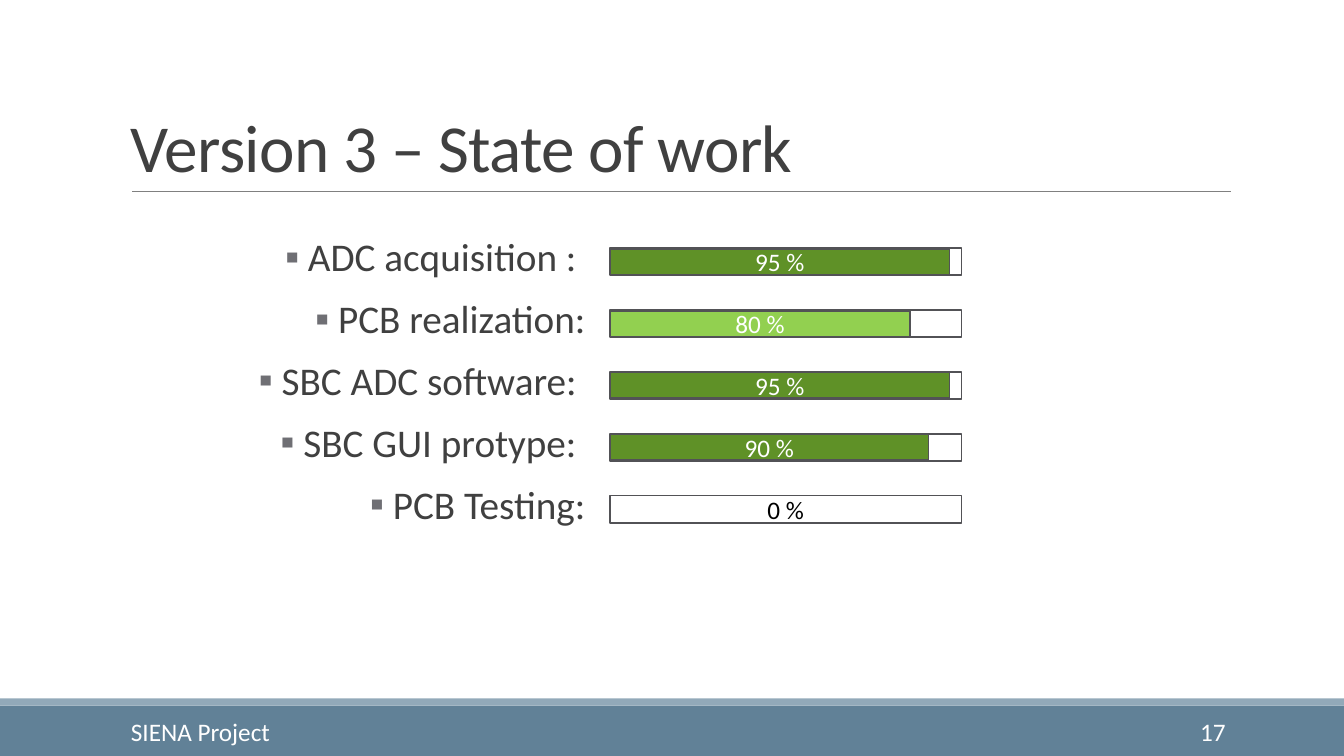
from lxml.etree import SubElement
from pptx import Presentation
from pptx.dml.color import RGBColor as Rgb
from pptx.enum.shapes import MSO_CONNECTOR as Link, MSO_SHAPE as Form
from pptx.enum.text import MSO_ANCHOR as Anchor, PP_ALIGN as Align
from pptx.oxml.ns import qn
from pptx.util import Cm, Pt

HUES = {
    "white": "FFFFFF", "black": "000000", "text": "404040",
    "bullet": "6F6F74", "rule": "808080", "edge": "525256",
    "band": "618197", "strip": "92A9B9",
    "dark": "5F9127", "light": "92D050",
}
TASKS = [
    ("ADC acquisition : ", "95 %", 8.56, "dark"),
    ("PCB realization:", "80 %", 7.57, "light"),
    ("SBC ADC software: ", "95 %", 8.56, "dark"),
    ("SBC GUI protype: ", "90 %", 8.03, "dark"),
    ("PCB Testing:", "0 %", 0, "white"),
]
WIDE, HIGH = 33.87, 19.05


def hue(name):
    return Rgb.from_string(HUES[name])


def style(para, size, color, align=Align.LEFT):
    para.alignment = align
    para.font.name = "Calibri"
    para.font.size = Pt(size)
    para.font.color.rgb = hue(color)


def add_text(slide, box, anchor):
    frame = slide.shapes.add_textbox(*map(Cm, box)).text_frame
    frame.word_wrap = True
    frame.vertical_anchor = anchor
    return frame


def add_rect(slide, box, fill=None, edge=None):
    rect = slide.shapes.add_shape(Form.RECTANGLE, *map(Cm, box))
    rect.shadow.inherit = False
    if fill:
        rect.fill.solid()
        rect.fill.fore_color.rgb = hue(fill)
    else:
        rect.fill.background()
    if edge:
        rect.line.color.rgb = hue(edge)
        rect.line.width = Pt(1.25)
    else:
        rect.line.fill.background()
    return rect


def add_title(slide, box, words):
    left, top, width, height = box
    para = add_text(slide, box, Anchor.BOTTOM).paragraphs[0]
    run = para.add_run()
    run.text = words
    run.font._element.set("spc", "-50")
    style(para, 48, "text")
    para.line_spacing = 0.85
    base = Cm(top + height)
    rule = slide.shapes.add_connector(
        Link.STRAIGHT, Cm(left + 0.28), base, Cm(left + width + 0.02), base)
    rule.line.color.rgb = hue("rule")
    rule.line.width = Pt(0.5)
    SubElement(rule._element.spPr, qn("a:effectLst"))


def add_tasks(slide, box):
    frame = add_text(slide, box, Anchor.TOP)
    frame.margin_left = frame.margin_right = 0
    for i, task in enumerate(TASKS):
        para = frame.add_paragraph() if i else frame.paragraphs[0]
        para.text = " " + task[0]
        props = para._element.get_or_add_pPr()
        props.set("marL", str(Cm(0.25)))
        props.set("indent", str(-Cm(0.25)))
        tint = SubElement(props, qn("a:buClr"))
        SubElement(tint, qn("a:srgbClr"), val=HUES["bullet"])
        SubElement(props, qn("a:buFont"), typeface="Calibri")
        SubElement(props, qn("a:buChar"), char="▪")
        style(para, 28, "text", Align.RIGHT)
        para.line_spacing = 0.9
        para.space_before = Pt(12 if i else 0)
        para.space_after = Pt(2)


def add_bars(slide, box):
    left, top, width, height = box
    bar = 0.69
    step = (height - bar) / (len(TASKS) - 1)
    for i, (_, label, done, color) in enumerate(TASKS):
        y = top + i * step
        rect = add_rect(slide, (left, y, width, bar),
                        None if done else color, "edge")
        if done:
            rect = add_rect(slide, (left, y + 0.02, done, bar - 0.04),
                            color, "edge")
        frame = rect.text_frame
        frame.vertical_anchor = Anchor.MIDDLE
        para = frame.paragraphs[0]
        para.text = label
        style(para, 18, "white" if done else "black", Align.CENTER)


def add_footer(slide, box):
    left, top, width, height = box
    add_rect(slide, box, "band")
    add_rect(slide, (left, top - 0.18, width, 0.18), "strip")
    for x, span, words, align in [
        (3.05, 6.86, "SIENA Project", Align.LEFT),
        (27.51, 3.63, "17", Align.RIGHT),
    ]:
        area = (left + x, top + 0.15, span, 1.02)
        para = add_text(slide, area, Anchor.MIDDLE).paragraphs[0]
        para.text = words
        style(para, 18, "white", align)


def main():
    deck = Presentation()
    deck.slide_width, deck.slide_height = Cm(WIDE), Cm(HIGH)
    slide = deck.slides.add_slide(deck.slide_layouts[6])
    add_footer(slide, (0, 17.78, WIDE, HIGH - 17.78))
    add_title(slide, (3.05, 0.79, 27.94, 4.04), "Version 3 – State of work")
    add_tasks(slide, (5.89, 5.87, 8.86, 11.02))
    add_bars(slide, (15.37, 6.25, 8.86, 6.93))
    deck.save("out.pptx")


if __name__ == "__main__":
    main()
